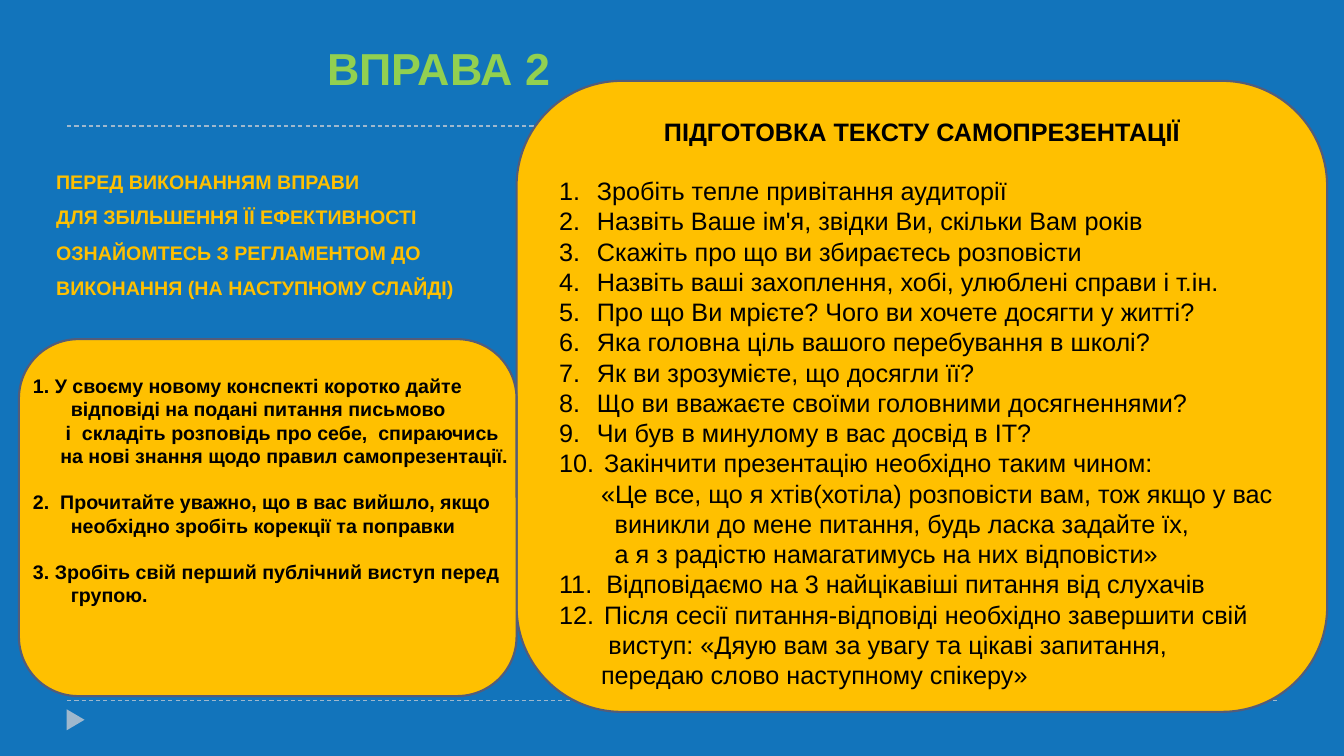
"""Build the exercise slide about preparing a self-presentation."""
from dataclasses import dataclass

from lxml.etree import SubElement
from pptx import Presentation
from pptx.dml.color import RGBColor
from pptx.enum.dml import MSO_LINE
from pptx.enum.shapes import MSO_CONNECTOR, MSO_SHAPE
from pptx.enum.text import PP_ALIGN
from pptx.oxml.ns import qn
from pptx.util import Pt

PX = 9525


@dataclass(frozen=True)
class Theme:
    """Colours, font and type sizes of the slide."""
    font: str = "Arial"
    background: str = "1274BB"
    panel: str = "FFC000"
    outline: str = "545C79"
    guide: str = "9FB8CD"
    title: str = "92D050"
    text: str = "000000"
    title_size: int = 32
    list_size: int = 18
    note_size: int = 14


THEME = Theme()
HANG = 36
LINE_HEIGHT = 1.15

LEAD = [
    "ПЕРЕД ВИКОНАННЯМ ВПРАВИ",
    "ДЛЯ ЗБІЛЬШЕННЯ ЇЇ ЕФЕКТИВНОСТІ",
    "ОЗНАЙОМТЕСЬ З РЕГЛАМЕНТОМ ДО",
    "ВИКОНАННЯ (НА НАСТУПНОМУ СЛАЙДІ)",
]
STEPS = [
    ("1. У своєму новому конспекті коротко дайте відповіді на подані питання письмово", 0, False),
    ("і  складіть розповідь про себе,  спираючись", 31, False),
    ("на нові знання щодо правил самопрезентації.", 26, False),
    ("2.  Прочитайте уважно, що в вас вийшло, якщо необхідно зробіть корекції та поправки", 0, True),
    ("3. Зробіть свій перший публічний виступ перед групою.", 0, True),
]
HEADING = "ПІДГОТОВКА ТЕКСТУ САМОПРЕЗЕНТАЦІЇ"
QUESTIONS = [
    "Зробіть тепле привітання аудиторії",
    "Назвіть Ваше ім'я, звідки Ви, скільки Вам років",
    "Скажіть про що ви збираєтесь розповісти",
    "Назвіть ваші захоплення, хобі, улюблені справи і т.ін.",
    "Про що Ви мрієте? Чого ви хочете досягти у житті?",
    "Яка головна ціль вашого перебування в школі?",
    "Як ви зрозумієте, що досягли її?",
    "Що ви вважаєте своїми головними досягненнями?",
    "Чи був в минулому в вас досвід в IT?",
]
CLOSING = [
    ("Закінчити презентацію необхідно таким чином:", 43, 10),
    ("«Це все, що я хтів(хотіла) розповісти вам, тож якщо у вас", 40, None),
    ("виникли до мене питання, будь ласка задайте їх,", 53, None),
    ("а я з радістю намагатимусь на них відповісти»", 53, None),
    ("Відповідаємо на 3 найцікавіші питання від слухачів", 45, 11),
    ("Після сесії питання-відповіді необхідно завершити свій", 43, 12),
    ("виступ: «Дяую вам за увагу та цікаві запитання,", 47, None),
    ("передаю слово наступному спікеру»", 40, None),
]


def rgb(value):
    """Turn a hex string into a colour."""
    return RGBColor.from_string(value)


def emu(box):
    """Turn lengths in px into EMU."""
    return [length * PX for length in box]


def add_text_box(page, box):
    """Add a wrapping text box and return its frame."""
    frame = page.shapes.add_textbox(*emu(box)).text_frame
    frame.word_wrap = True
    return frame


def add_line(frame, text, size, color, bold=True, margin=0, indent=0, number=None, **formats):
    """Write one paragraph, numbered when a start number is given."""
    para = frame.paragraphs[0] if not frame.text else frame.add_paragraph()
    for name, value in formats.items():
        setattr(para, name, value)
    properties = para._p.get_or_add_pPr()
    properties.set("marL", str(margin * PX))
    properties.set("indent", str(indent * PX))
    if number:
        bullet_color = SubElement(properties, qn("a:buClr"))
        SubElement(bullet_color, qn("a:srgbClr"), val=color)
        SubElement(properties, qn("a:buAutoNum"), type="arabicPeriod", startAt=str(number))
    span = para.add_run()
    span.text = text
    for name, value in {"name": THEME.font, "size": Pt(size), "bold": bold}.items():
        setattr(span.font, name, value)
    span.font.color.rgb = rgb(color)


def add_panel(page, box):
    """Draw a rounded panel."""
    panel = page.shapes.add_shape(MSO_SHAPE.ROUNDED_RECTANGLE, *emu(box))
    panel.shadow.inherit = False
    panel.fill.solid()
    panel.fill.fore_color.rgb = rgb(THEME.panel)
    panel.line.color.rgb = rgb(THEME.outline)
    panel.line.width = Pt(1.5)


def add_guides(page, box):
    """Draw the dashed rules at top and bottom and the corner marker."""
    left, top, width, height = box
    for y in (top + height, top):
        rule = page.shapes.add_connector(MSO_CONNECTOR.STRAIGHT, *emu((left, y, left + width, y)))
        SubElement(rule._element.spPr, qn("a:effectLst"))
        formats = {"width": Pt(0.75), "dash_style": MSO_LINE.DASH}
        for name, value in formats.items():
            setattr(rule.line, name, value)
        rule.line.color.rgb = rgb(THEME.guide)
    marker = page.shapes.add_shape(
        MSO_SHAPE.ISOSCELES_TRIANGLE, *emu((left - 2, top + height + 10, 20, 17)))
    marker.shadow.inherit = False
    marker.rotation = 90
    marker.fill.solid()
    marker.fill.fore_color.rgb = rgb(THEME.guide)
    marker.line.fill.background()


def add_steps(page, box):
    """Write the three steps over the left panel."""
    left, top, width, height = box
    frame = add_text_box(page, (left + 4, top + 28, width + 41, height - 56))
    for text, first, spaced in STEPS:
        gap = Pt(THEME.note_size * LINE_HEIGHT if spaced else 0)
        add_line(frame, text, THEME.note_size, THEME.text, margin=HANG,
                 indent=first - HANG, space_before=gap)


def add_questions(page, box):
    """Write the heading and the numbered plan over the right panel."""
    left, top, width, height = box
    frame = add_text_box(page, (left + 31, top + 29, width - 62, height - 38))
    add_line(frame, HEADING, THEME.list_size, THEME.text, alignment=PP_ALIGN.CENTER)
    for index, text in enumerate(QUESTIONS):
        gap = Pt(0 if index else THEME.list_size * LINE_HEIGHT)
        add_line(frame, text, THEME.list_size, THEME.text, bold=False, margin=HANG,
                 indent=-HANG, number=1, space_before=gap)
    for text, margin, number in CLOSING:
        add_line(frame, text, THEME.list_size, THEME.text, bold=False, margin=margin,
                 indent=-margin if number else 0, number=number)


def add_lead(page, box):
    """Write the introductory lines."""
    frame = add_text_box(page, box)
    for text in LEAD:
        add_line(frame, text, THEME.note_size, THEME.panel, line_spacing=1.5)


def add_title(page, box):
    """Write the slide title."""
    add_line(add_text_box(page, box), "ВПРАВА 2", THEME.title_size, THEME.title,
             alignment=PP_ALIGN.CENTER)


def main():
    """Build and save the deck."""
    deck = Presentation()
    deck.slide_width, deck.slide_height = emu((1280, 720))
    page = deck.slides.add_slide(deck.slide_layouts[6])
    page.background.fill.solid()
    page.background.fill.fore_color.rgb = rgb(THEME.background)
    steps_box = (18, 323, 474, 340)
    questions_box = (492, 77, 772, 601)
    add_guides(page, (64, 120, 1152, 547))
    for box in (questions_box, steps_box):
        add_panel(page, box)
    add_steps(page, steps_box)
    add_lead(page, (44, 146, 1102, 141))
    add_title(page, (299, 34, 238, 61))
    add_questions(page, questions_box)
    deck.save("out.pptx")


if __name__ == "__main__":
    main()
